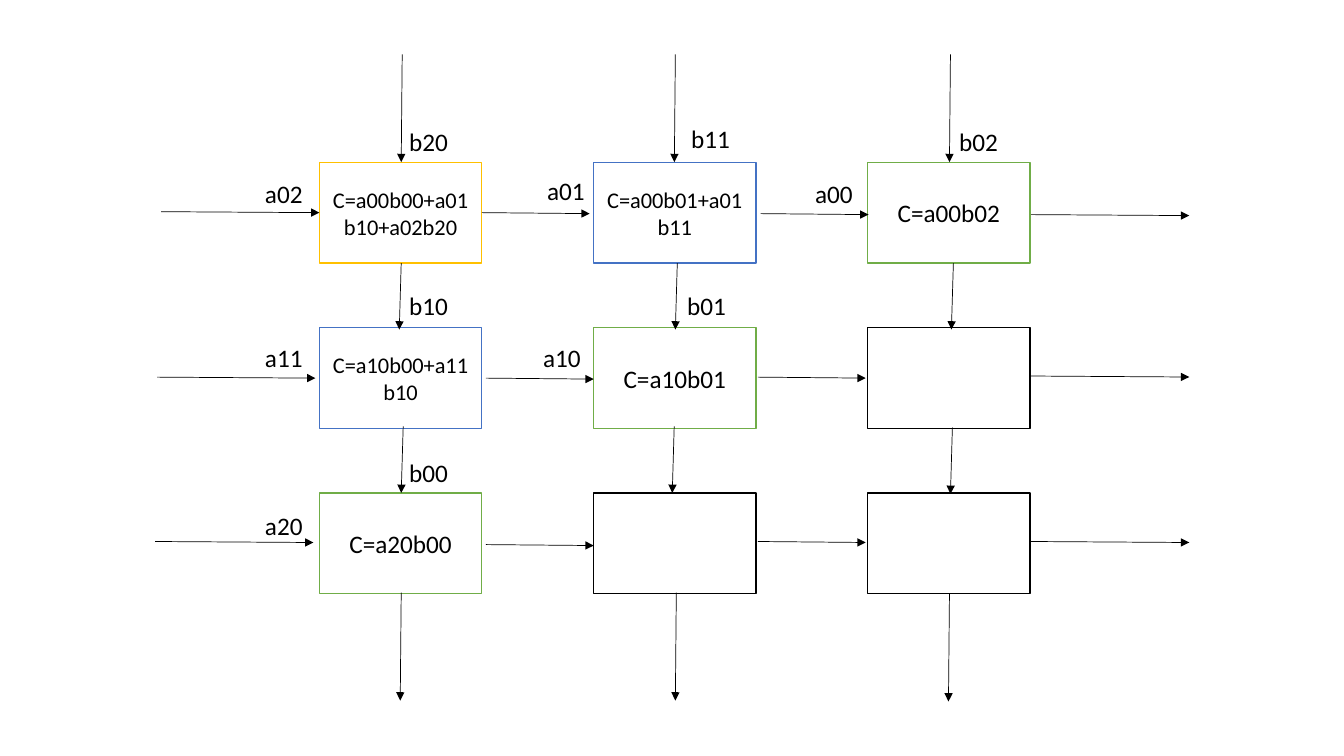
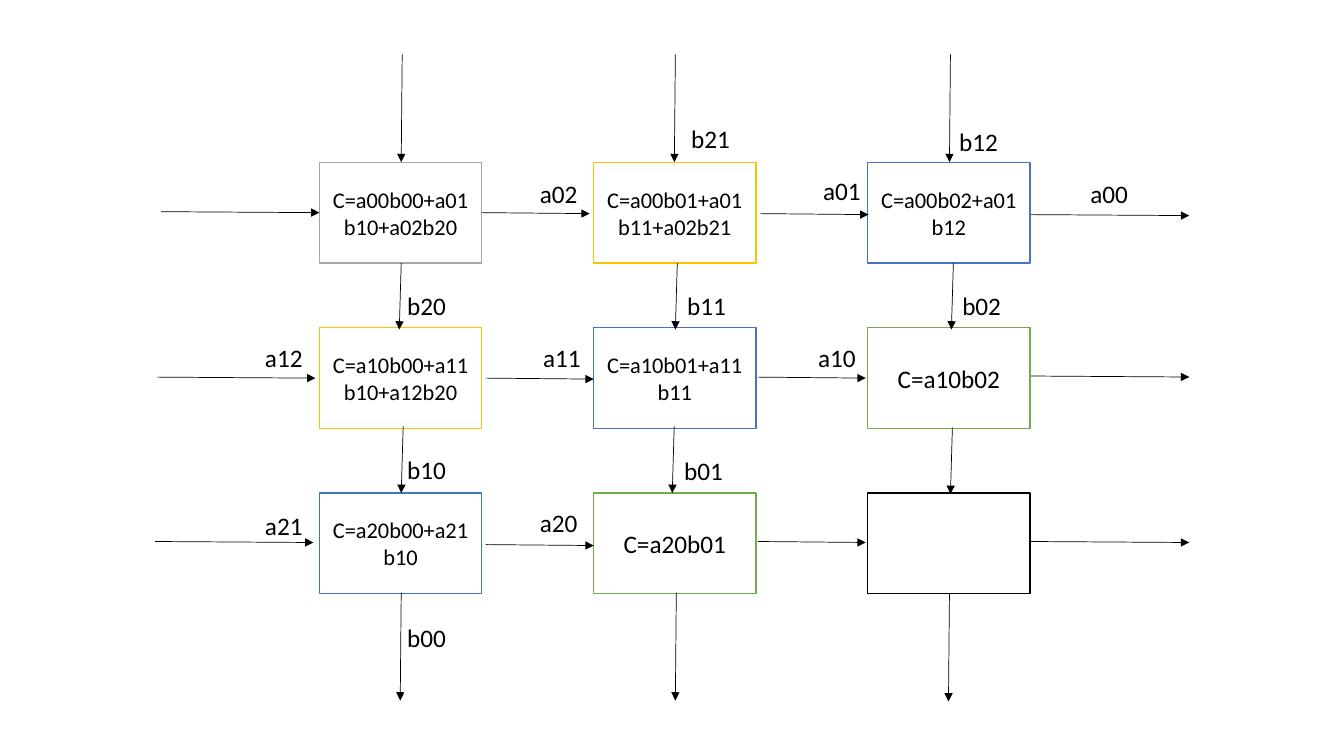
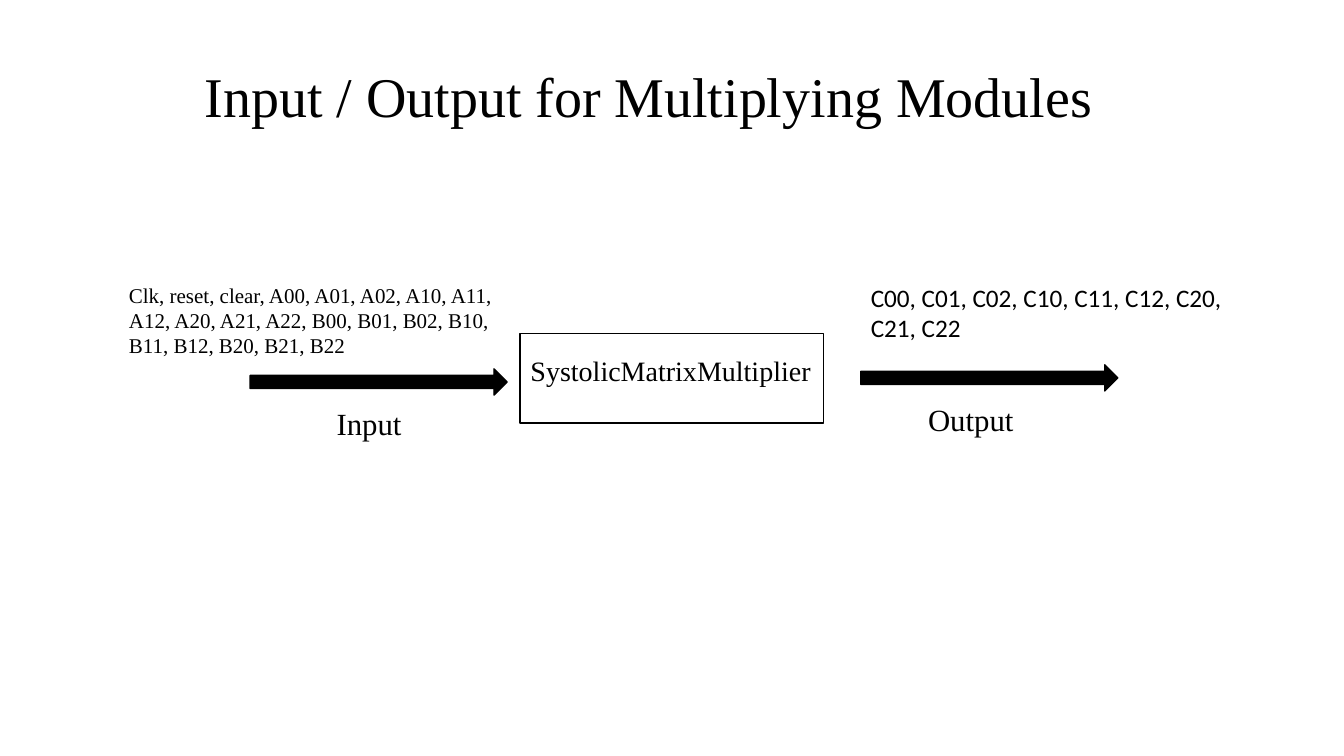
import pptx
import pptx.dml.color
import pptx.enum.shapes
import pptx.enum.text
import pptx.oxml
import pptx.oxml.ns
import pptx.util
from lxml import etree

Pt = pptx.util.Pt
RGBColor = pptx.dml.color.RGBColor
SHAPES = pptx.enum.shapes.MSO_SHAPE
ALIGN = pptx.enum.text.PP_ALIGN
ANCHOR = pptx.enum.text.MSO_ANCHOR
AUTO_SIZE = pptx.enum.text.MSO_AUTO_SIZE

BLACK = RGBColor(0x00, 0x00, 0x00)
WHITE = RGBColor(0xFF, 0xFF, 0xFF)
GRAY = RGBColor(0xA5, 0xA5, 0xA5)
GOLD = RGBColor(0xFF, 0xC0, 0x00)
BLUE = RGBColor(0x44, 0x72, 0xC4)
GREEN = RGBColor(0x70, 0xAD, 0x47)
SANS = "Calibri"
SERIF = "Times New Roman"

GRID_BOX = (228.2, 115.9)
CELL_WIDTH, CELL_HEIGHT = 116, 72
COLUMN_PITCH, ROW_PITCH = 195.8, 118.1
OUTER_LENGTHS = {"row": 113, "column": 77}
INNER_LENGTHS = {"row": 77, "column": 47.5}

ROW_STARTS = [
    [(-33.2, -0.7), (0, 0), (3.4, 0.7), (0.7, 1.4)],
    [(-36.1, -0.6), (2.9, 0.1), (1.4, -0.6), (0.7, -1.4)],
    [(-37.5, -1.3), (2.9, 0.9), (1.4, -1.3), (0.7, -1.3)],
]
COLUMN_STARTS = [
    [(1.1, -31), (0.4, 0), (1.8, -1.4), (0.4, -0.7)],
    [(0.4, -31), (1.8, 0), (-0.4, -1.4), (1.1, -0.7)],
    [(1.1, -31), (3.2, 0), (2.5, -0.7), (0.4, 0)],
]

FIRST_CELLS = [
    [("C=a00b00+a01b10+a02b20", GOLD), ("C=a00b01+a01b11", BLUE), ("C=a00b02", GREEN)],
    [("C=a10b00+a11b10", BLUE), ("C=a10b01", GREEN), ("", BLACK)],
    [("C=a20b00", GREEN), ("", BLACK), ("", BLACK)],
]
FIRST_LABELS = [
    ("a02", 0, 0, -46, 8), ("a01", 0, 1, -40.3, 6), ("a00", 0, 2, -44.6, 8),
    ("a11", 1, 0, -46, 7), ("a10", 1, 1, -43.2, 7), ("a20", 2, 0, -46, 8.6),
    ("b20", 0, 0, 57, -29.5), ("b11", 0, 1, 62.6, -31.7), ("b02", 0, 2, 58.3, -29.5),
    ("b10", 1, 0, 57, -30.2), ("b01", 1, 1, 59.8, -30.2), ("b00", 2, 0, 57, -28.8),
]
SECOND_CELLS = [
    [("C=a00b00+a01b10+a02b20", GRAY), ("C=a00b01+a01b11+a02b21", GOLD), ("C=a00b02+a01b12", BLUE)],
    [("C=a10b00+a11b10+a12b20", GOLD), ("C=a10b01+a11b11", BLUE), ("C=a10b02", GREEN)],
    [("C=a20b00+a21b10", BLUE), ("C=a20b01", GREEN), ("", BLACK)],
]
SECOND_LABELS = [
    ("a02", 0, 1, -45.4, 8), ("a01", 0, 2, -38.9, 6), ("a00", 0, 3, -43.9, 8),
    ("a12", 1, 0, -46, 7), ("a11", 1, 1, -43.2, 7), ("a10", 1, 2, -42.5, 7),
    ("a21", 2, 0, -46, 8.6), ("a20", 2, 1, -45.4, 7),
    ("b21", 0, 1, 62.6, -31.7), ("b12", 0, 2, 58.3, -29.5),
    ("b20", 1, 0, 55.5, -30.2), ("b11", 1, 1, 59.8, -30.2), ("b02", 1, 2, 60.5, -30.2),
    ("b10", 2, 0, 55.5, -31), ("b01", 2, 1, 57.6, -30.2), ("b00", 3, 0, 55.5, -29.5),
]


def write_text(frame, text, size, font, align=ALIGN.LEFT):
    paragraph = frame.paragraphs[0]
    paragraph.alignment = align
    run = paragraph.add_run()
    run.text = text
    run.font.size = Pt(size)
    run.font.name = font
    run.font.color.rgb = BLACK


def add_text(slide, box, text, size, font, align=ALIGN.LEFT, wrap=True):
    shape = slide.shapes.add_textbox(*map(Pt, box))
    shape.text_frame.word_wrap = wrap
    shape.text_frame.auto_size = AUTO_SIZE.SHAPE_TO_FIT_TEXT
    write_text(shape.text_frame, text, size, font, align)


def add_block(slide, kind, box, fill, line):
    shape = slide.shapes.add_shape(kind, *map(Pt, box))
    shape.shadow.inherit = False
    shape.fill.solid()
    shape.fill.fore_color.rgb = fill
    shape.line.color.rgb = line
    shape.line.width = Pt(1)
    return shape


def add_arrow(slide, left, top, width, height):
    ends = map(Pt, (left, top, left + width, top + height))
    connector = slide.shapes.add_connector(pptx.enum.shapes.MSO_CONNECTOR.STRAIGHT, *ends)
    connector.line.color.rgb = BLACK
    connector.line.width = Pt(0.5)
    qualified = pptx.oxml.ns.qn
    etree.SubElement(connector.line._get_or_add_ln(), qualified("a:tailEnd"), type="triangle")
    etree.SubElement(connector._element.spPr, qualified("a:effectLst"))


def add_cells(slide, left, top, cells):
    for row, line in enumerate(cells):
        for column, (text, color) in enumerate(line):
            box = (left + column * COLUMN_PITCH, top + row * ROW_PITCH, CELL_WIDTH, CELL_HEIGHT)
            cell = add_block(slide, SHAPES.RECTANGLE, box, WHITE, color)
            if text:
                cell.text_frame.word_wrap = True
                cell.text_frame.vertical_anchor = ANCHOR.MIDDLE
                write_text(cell.text_frame, text, 16 if "+" in text else 18, SANS, ALIGN.CENTER)


def add_flows(slide, left, top):
    for lane in range(3):
        for gap in range(4):
            outer = gap in (0, 3)
            lengths = OUTER_LENGTHS if outer else INNER_LENGTHS
            shift_x, shift_y = ROW_STARTS[lane][gap]
            add_arrow(slide,
                      left + (gap - 1) * COLUMN_PITCH + CELL_WIDTH + shift_x,
                      top + lane * ROW_PITCH + CELL_HEIGHT / 2 + shift_y,
                      lengths["row"], 0.7)
            shift_x, shift_y = COLUMN_STARTS[lane][gap]
            add_arrow(slide,
                      left + lane * COLUMN_PITCH + CELL_WIDTH / 2 + shift_x,
                      top + (gap - 1) * ROW_PITCH + CELL_HEIGHT + shift_y,
                      -0.7 if outer else -1.4, lengths["column"])


def add_labels(slide, left, top, labels):
    for text, row, column, shift_x, shift_y in labels:
        box = (left + column * COLUMN_PITCH + shift_x, top + row * ROW_PITCH + shift_y, 42, 29)
        add_text(slide, box, text, 18, SANS, wrap=False)


def build_array_slide(presentation, cells, labels):
    slide = presentation.slides.add_slide(presentation.slide_layouts[6])
    add_cells(slide, *GRID_BOX, cells)
    add_flows(slide, *GRID_BOX)
    add_labels(slide, *GRID_BOX, labels)


def add_title(slide, box, text):
    title = slide.shapes.title
    title.left, title.top, title.width, title.height = map(Pt, box)
    title.text_frame.word_wrap = True
    title.text_frame.auto_size = AUTO_SIZE.NONE
    title.text_frame.vertical_anchor = ANCHOR.TOP
    write_text(title.text_frame, text, 40, SERIF)


def add_module(slide, left, top):
    add_block(slide, SHAPES.RECTANGLE, (left, top, 216.7, 64), WHITE, BLACK)
    add_text(slide, (left - 9.4, top + 10.8, 234, 75), "SystolicMatrixMultiplier", 20, SERIF, ALIGN.CENTER)


def add_port(slide, left, top, caption, caption_shift):
    add_block(slide, SHAPES.RIGHT_ARROW, (left, top, 183.6, 18.7), BLACK, BLACK)
    add_text(slide, (left + caption_shift, top + 22, 157, 34), caption, 22, SERIF, ALIGN.CENTER)


def build_module_slide(presentation):
    slide = presentation.slides.add_slide(presentation.slide_layouts[5])
    add_title(slide, (139, 40.3, 682, 55.4), "Input / Output for Multiplying Modules")
    add_module(slide, 371.5, 238.3)
    add_port(slide, 178.6, 263.5, "Input", 6.5)
    add_port(slide, 614.9, 260.6, "Output", 0)
    add_text(slide, (85, 198, 277.2, 62),
             "Clk, reset, clear, A00, A01, A02, A10, A11, A12, A20, A21, A22, "
             "B00, B01, B02, B10, B11, B12, B20, B21, B22", 15, SERIF)
    add_text(slide, (614.9, 198, 278, 51), "C00, C01, C02, C10, C11, C12, C20, C21, C22", 18, SANS)


def main():
    presentation = pptx.Presentation()
    presentation.slide_width, presentation.slide_height = Pt(960), Pt(540)
    build_array_slide(presentation, FIRST_CELLS, FIRST_LABELS)
    build_array_slide(presentation, SECOND_CELLS, SECOND_LABELS)
    build_module_slide(presentation)
    presentation.save("out.pptx")


if __name__ == "__main__":
    main()
